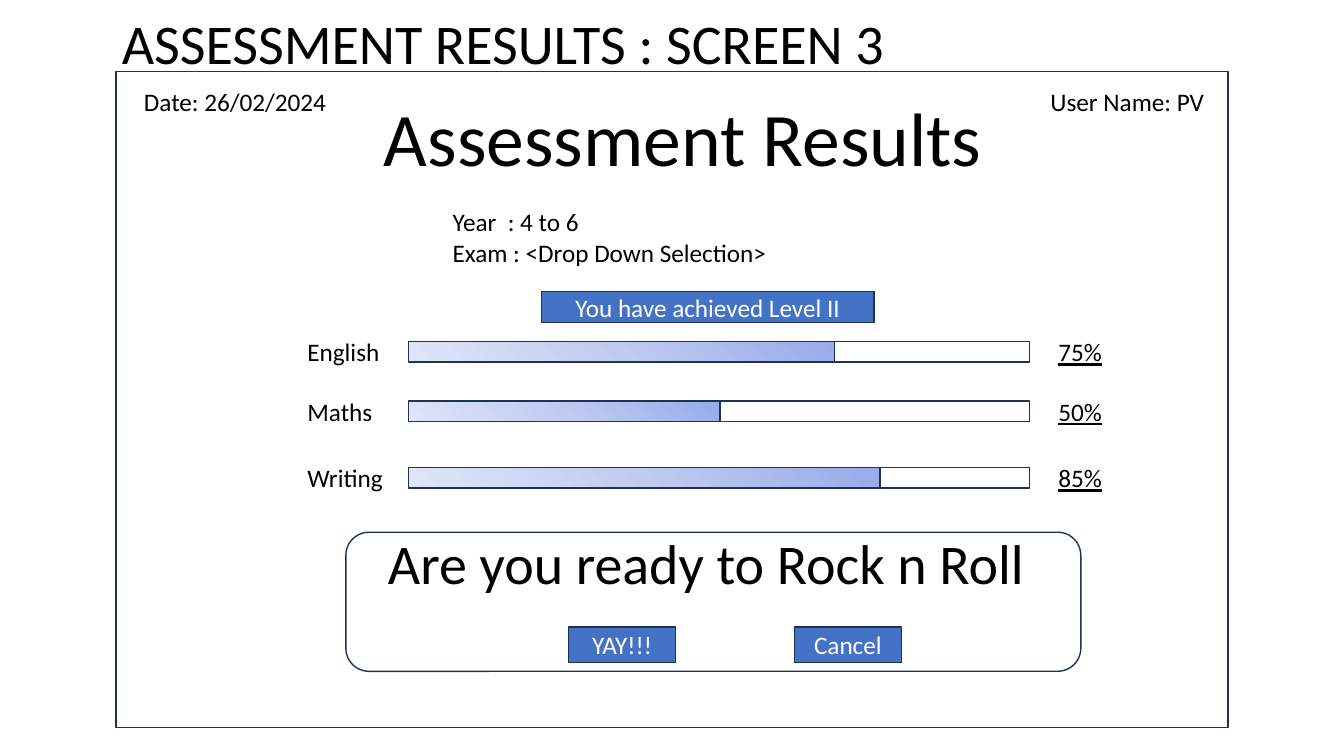
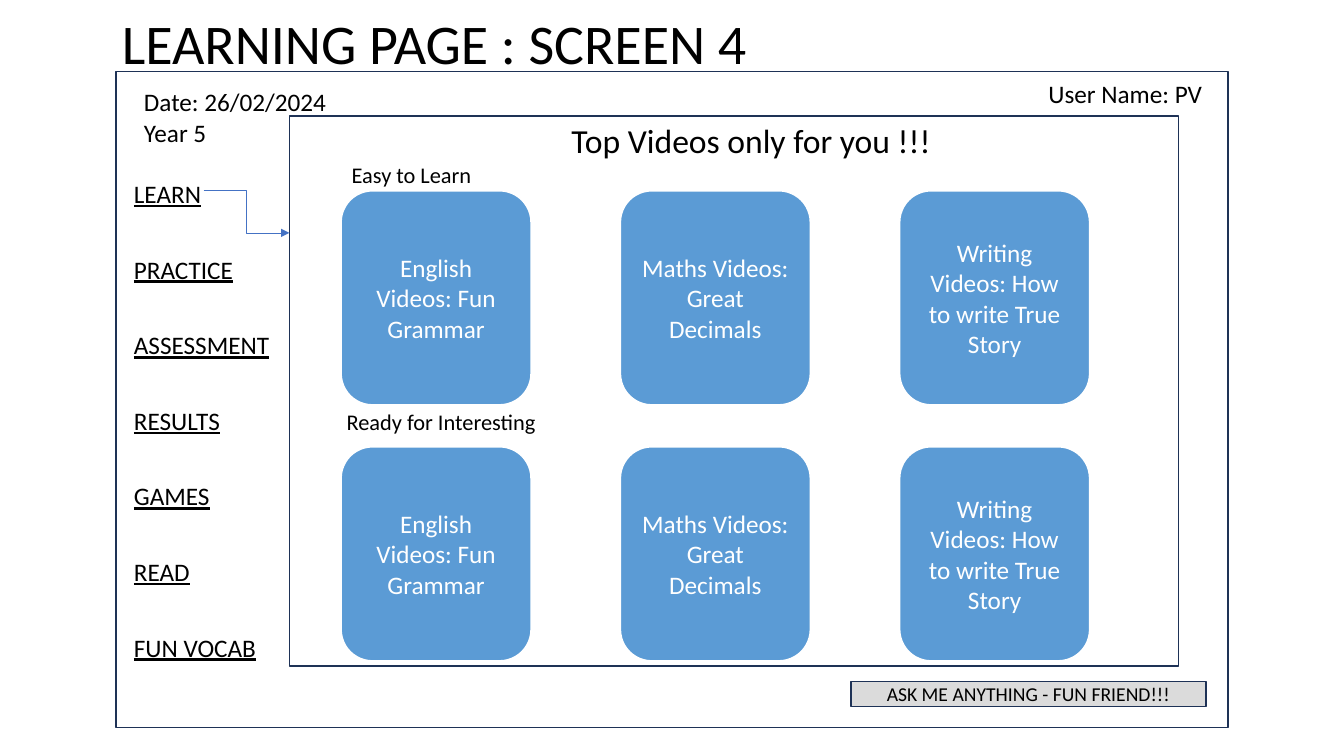
from copy import deepcopy

from lxml import etree
from pptx import Presentation
from pptx.dml.color import RGBColor
from pptx.enum.shapes import MSO_CONNECTOR, MSO_SHAPE
from pptx.enum.text import MSO_ANCHOR, MSO_AUTO_SIZE, PP_ALIGN
from pptx.oxml.ns import qn
from pptx.util import Inches, Pt

RECT, ROUNDED = MSO_SHAPE.RECTANGLE, MSO_SHAPE.ROUNDED_RECTANGLE
ELBOW = MSO_CONNECTOR.ELBOW
LEFT, CENTER = PP_ALIGN.LEFT, PP_ALIGN.CENTER
TOP, MIDDLE = MSO_ANCHOR.TOP, MSO_ANCHOR.MIDDLE
FIT_SHAPE = MSO_AUTO_SIZE.SHAPE_TO_FIT_TEXT

FONT = "Calibri"
BLACK, WHITE = "000000", "FFFFFF"
NAVY, BLUE, SKY, GREY = "1E3256", "4472C4", "5B9BD5", "DBDBDB"
BAR_COLOURS = ["96ABEA", "C0CBF0", "E0E5F7"]

SCREEN = (1.15, 0.71, 11.03, 6.51)
SCORES = [
    ("English", 0.92, "75%", 4.23, 3.29),
    ("Maths", 0.85, "50%", 3.09, 3.88),
    ("Writing", 0.96, "85%", 4.68, 4.54),
]
MENU = ["LEARN", "PRACTICE", "ASSESSMENT", "RESULTS", "GAMES", "READ", "FUN VOCAB"]
VIDEOS = [
    "English Videos: Fun Grammar",
    "Maths Videos: Great Decimals",
    "Writing Videos: How to write True Story",
]


def colour(code):
    """Turn a hex string into a colour."""
    return RGBColor.from_string(code)


def inches(box):
    """Turn the numbers of a box into lengths."""
    return [Inches(value) for value in box]


def write(shape, text, size=18, color=BLACK, align=LEFT, anchor=TOP,
          underline=None, spacing=None):
    """Write each line of the text as a formatted paragraph."""
    frame = shape.text_frame
    frame.vertical_anchor = anchor
    for index, line in enumerate(text.split("\n")):
        para = frame.add_paragraph() if index else frame.paragraphs[0]
        para.alignment = align
        para.line_spacing = spacing
        span = para.add_run()
        span.text = line
        span.font.name = FONT
        span.font.size = Pt(size)
        span.font.underline = underline
        span.font.color.rgb = colour(color)


def add_label(shapes, box, text, wrap=False, **style):
    """Add a text box that grows with its text."""
    label = shapes.add_textbox(*inches(box))
    label.text_frame.word_wrap = wrap
    label.text_frame.auto_size = FIT_SHAPE
    write(label, text, **style)


def add_box(shapes, box, kind=RECT, fill=None, line=NAVY, width=1, text="", **style):
    """Add an outlined preset shape, with centred text if there is any."""
    shape = shapes.add_shape(kind, *inches(box))
    shape.shadow.inherit = False
    if fill:
        shape.fill.solid()
        shape.fill.fore_color.rgb = colour(fill)
    else:
        shape.fill.background()
    shape.line.color.rgb = colour(line)
    shape.line.width = Pt(width)
    if text:
        shape.text_frame.word_wrap = True
        write(shape, text, align=CENTER, anchor=MIDDLE, **style)
    return shape


def shade_bar(bar):
    """Give a bar the three-stop gradient."""
    bar.fill.gradient()
    bar.fill.gradient_angle = 225
    stops = bar.element.spPr.find(qn("a:gradFill")).find(qn("a:gsLst"))
    stops.insert(1, deepcopy(stops[0]))
    for stop, code, position in zip(bar.fill.gradient_stops, BAR_COLOURS, (0, 0.5, 1)):
        stop.color.rgb = colour(code)
        stop.position = position


def add_arrow(shapes, start, end):
    """Add a thin elbow arrow."""
    arrow = shapes.add_connector(ELBOW, *inches(start + end))
    arrow.line.color.rgb = colour(BLUE)
    arrow.line.width = Pt(0.5)
    etree.SubElement(arrow.line._get_or_add_ln(), qn("a:tailEnd"), type="triangle")
    etree.SubElement(arrow.element.spPr, qn("a:effectLst"))


def add_screen(deck, title, title_width, date, date_height, user_at):
    """Add a page with its heading, screen frame, date and user name."""
    page = deck.slides.add_slide(deck.slide_layouts[6])
    left, top = SCREEN[:2]
    add_box(page.shapes, SCREEN)
    add_label(page.shapes, (left - 0.04, top - 0.67, title_width, 0.77), title, size=40)
    add_label(page.shapes, (left + 0.18, top + 0.1, 2.03, date_height), date)
    add_label(page.shapes, (*user_at, 1.74, 0.4), "User Name: PV")
    return page.shapes


def add_score(shapes, left, top, subject, subject_width, percent, done):
    """Add one grouped subject row with its progress bar."""
    row = shapes.add_group_shape().shapes
    bar_left, bar_top, full = left + 1.1, top + 0.1, 6.16
    add_label(row, (left, top, subject_width, 0.4), subject)
    shade_bar(add_box(row, (bar_left, bar_top, done, 0.2)))
    add_box(row, (bar_left + done, bar_top, full - done, 0.2))
    add_label(row, (left + 7.45, top, 0.64, 0.4), percent, underline=True)


def add_prompt(shapes, box):
    """Add the rounded question panel with its two buttons."""
    left, top = box[:2]
    add_label(shapes, (left + 0.32, top - 0.09, 6.57, 0.77),
              "Are you ready to Rock n Roll", size=40)
    for offset, answer in ((2.21, "YAY!!!"), (4.45, "Cancel")):
        add_box(shapes, (left + offset, top + 0.94, 1.06, 0.35),
                fill=BLUE, text=answer, color=WHITE)
    add_box(shapes, box, kind=ROUNDED)


def add_videos(shapes, box):
    """Add the framed panel with two rows of video cards."""
    left, top = box[:2]
    add_box(shapes, box)
    add_label(shapes, (left + 2.7, top - 0.01, 3.8, 0.5),
              "Top Videos only for you !!!", size=24)
    for row in range(2):
        for column, video in enumerate(VIDEOS):
            card = (left + 0.51 + 2.77 * column, top + 0.74 + 2.54 * row, 1.89, 2.13)
            add_box(shapes, card, kind=ROUNDED, fill=SKY, line=WHITE, width=1.5,
                    text=video, color=WHITE)
    add_label(shapes, (left + 0.52, top + 0.4, 1.41, 0.37), "Easy to Learn", size=16)
    add_label(shapes, (left + 0.47, top + 2.85, 2.1, 0.37),
              "Ready for Interesting", size=16)


def build_results(deck):
    """Build the assessment results screen."""
    shapes = add_screen(deck, "ASSESSMENT RESULTS : SCREEN 3", 7.84,
                        "Date: 26/02/2024", 0.4, (10.32, 0.81))
    add_label(shapes, (3.71, 0.85, 6.19, 1.01), "Assessment Results", size=54)
    add_label(shapes, (4.39, 2, 3.35, 0.71),
              "Year  : 4 to 6\nExam : <Drop Down Selection>")
    add_box(shapes, (5.37, 2.89, 3.3, 0.31), fill=BLUE,
            text="You have achieved Level II", color=WHITE)
    for subject, subject_width, percent, done, top in SCORES:
        add_score(shapes, 2.95, top, subject, subject_width, percent, done)
    add_prompt(shapes, (3.43, 5.28, 7.29, 1.38))


def build_learning(deck):
    """Build the learning page screen."""
    shapes = add_screen(deck, "LEARNING PAGE : SCREEN 4", 6.46,
                        "Date: 26/02/2024\nYear 5", 0.71, (10.3, 0.73))
    add_label(shapes, (1.23, 1.27, 1.56, 6.04), "\n".join(MENU), wrap=True,
              underline=True, spacing=2.5)
    add_videos(shapes, (2.87, 1.15, 8.82, 5.46))
    add_box(shapes, (8.44, 6.76, 3.52, 0.25), fill=GREY,
            text="ASK ME ANYTHING - FUN FRIEND!!!", size=14)
    add_arrow(shapes, (2.02, 1.89), (2.87, 2.31))


def main():
    """Build and save the deck."""
    deck = Presentation()
    deck.slide_width, deck.slide_height = Inches(13.33), Inches(7.5)
    build_results(deck)
    build_learning(deck)
    deck.save("out.pptx")


if __name__ == "__main__":
    main()
